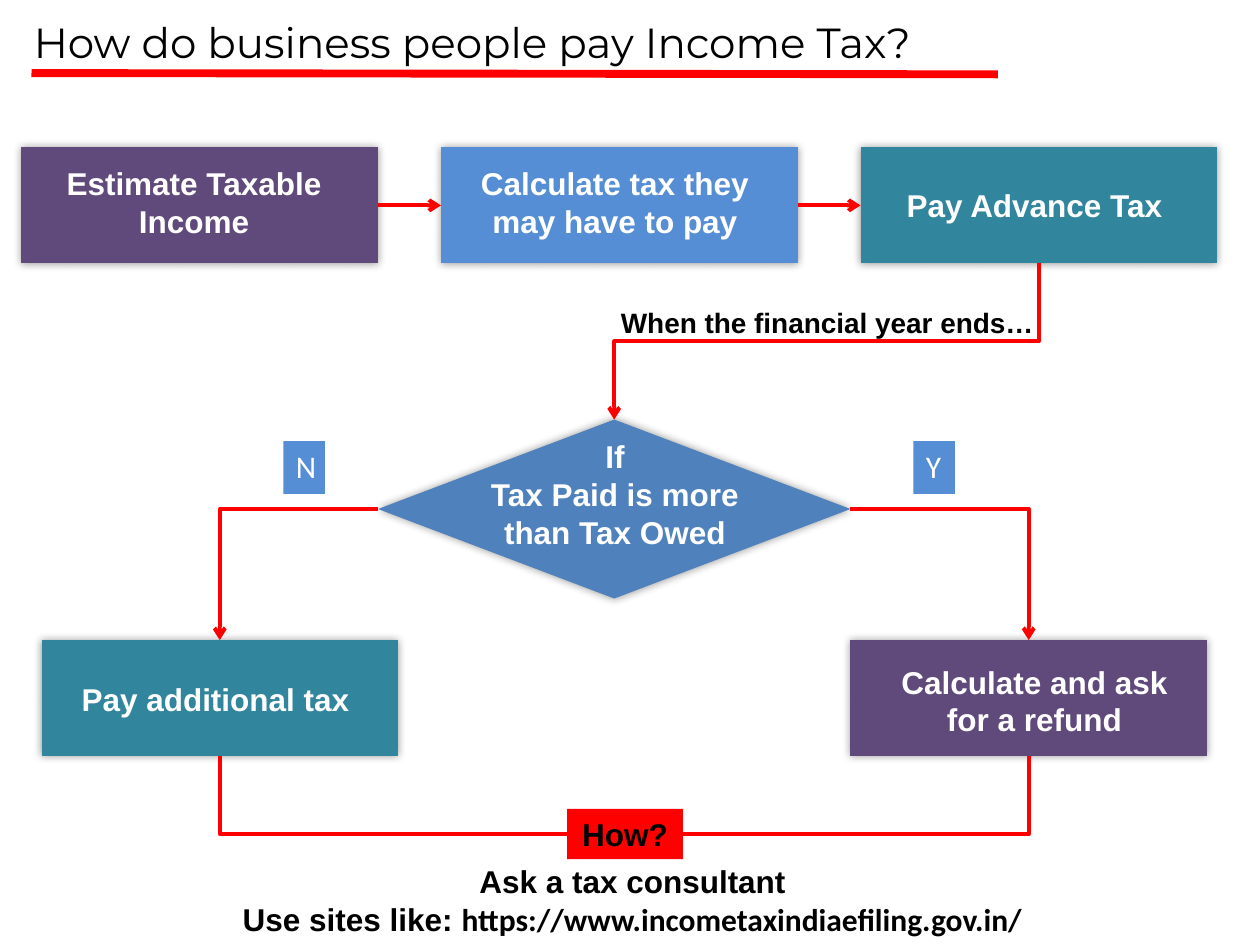
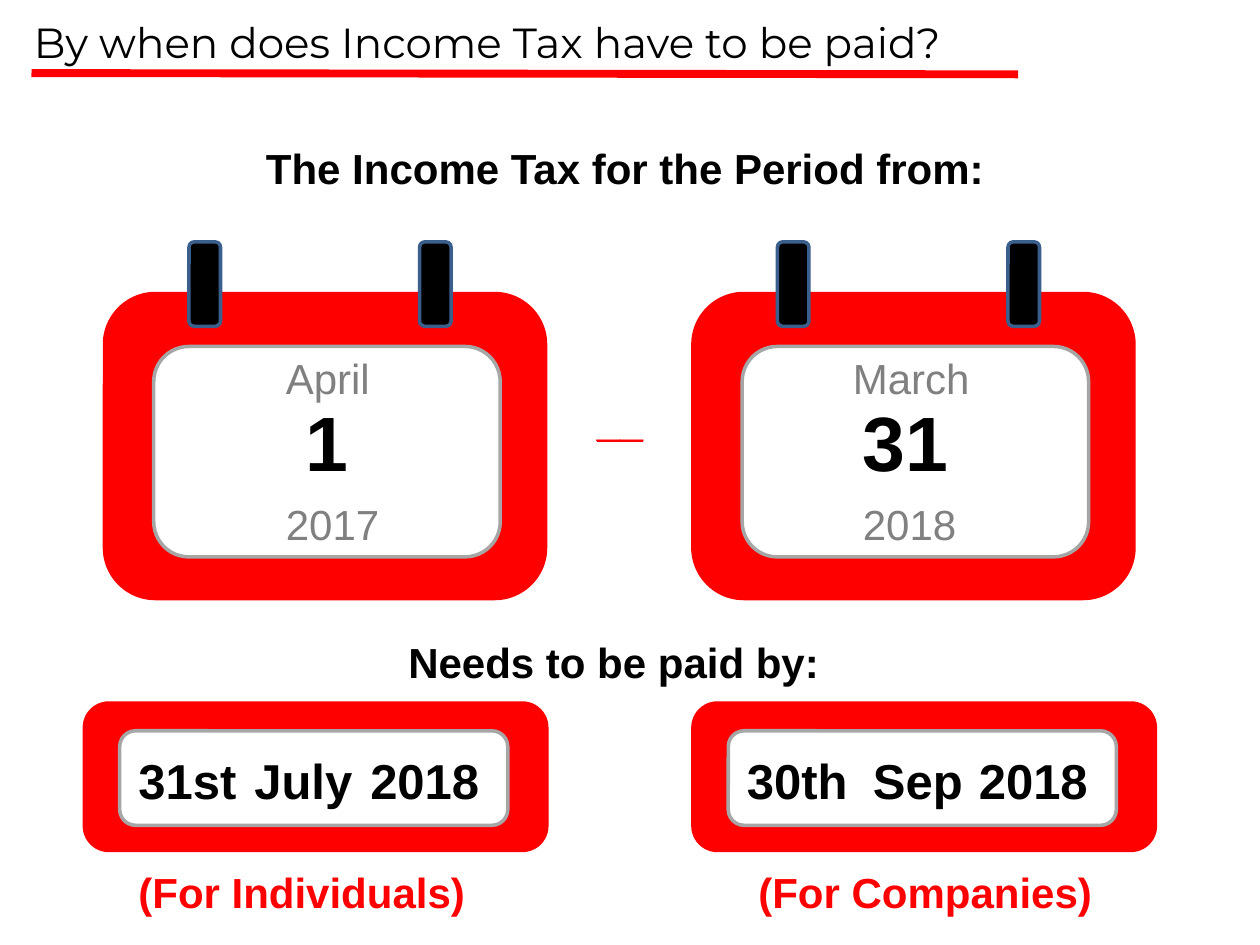
from lxml.etree import SubElement
from pptx import Presentation
from pptx.dml.color import RGBColor
from pptx.enum.shapes import MSO_CONNECTOR, MSO_SHAPE
from pptx.enum.text import MSO_ANCHOR, PP_ALIGN
from pptx.oxml.ns import qn
from pptx.util import Inches, Pt

RED, BLACK, WHITE = "FF0000", "000000", "FFFFFF"
PURPLE, BLUE, TEAL, STEEL = "604A7B", "558ED5", "31859C", "4F81BD"
GREY, PAGE_EDGE, RING_EDGE = "808080", "A6A6A6", "3A5F8C"
TOP, LEFT, BOTTOM, RIGHT = range(4)
STEP_WIDTH, STEP_HEIGHT = 2.83, 0.92


def color(hex_code):
    return RGBColor.from_string(hex_code)


def write(frame, paragraphs, size, hex_code, bold=True, align=PP_ALIGN.LEFT,
          font="Arial", underline=None):
    frame.word_wrap = True
    frame.vertical_anchor = MSO_ANCHOR.TOP
    for index, runs in enumerate(paragraphs):
        paragraph = frame.add_paragraph() if index else frame.paragraphs[0]
        paragraph.alignment = align
        for text, run_font in runs:
            run = paragraph.add_run()
            run.text = text
            run.font.name = run_font or font
            run.font.size = Pt(size)
            run.font.bold = bold
            run.font.underline = underline
            run.font.color.rgb = color(hex_code)


def add_text(slide, box, text, size, hex_code=BLACK, **style):
    label = slide.shapes.add_textbox(*map(Inches, box))
    paragraphs = [[(line, None)] for line in text.split("\n")]
    write(label.text_frame, paragraphs, size, hex_code, **style)


def add_centred(slide, box, text, size, hex_code=BLACK, **style):
    add_text(slide, box, text, size, hex_code, align=PP_ALIGN.CENTER, **style)


def add_block(slide, kind, box, fill, edge=None):
    block = slide.shapes.add_shape(kind, *map(Inches, box))
    block.shadow.inherit = False
    block.fill.solid()
    block.fill.fore_color.rgb = color(fill)
    if edge:
        block.line.color.rgb = color(edge)
        block.line.width = Pt(2)
    else:
        block.line.fill.background()
    return block


def add_glow(block):
    effects = block._element.spPr.find(qn("a:effectLst"))
    glow = SubElement(effects, qn("a:outerShdw"), blurRad=str(Pt(5)),
                      dist="0", dir="0", rotWithShape="0")
    tint = SubElement(glow, qn("a:srgbClr"), val=BLACK)
    SubElement(tint, qn("a:alpha"), val="40000")


def add_node(slide, kind, box, fill, label_box, text):
    node = add_block(slide, kind, box, fill)
    add_glow(node)
    add_centred(slide, label_box, text, 18, WHITE)
    return node


def add_step(slide, left, top, fill, label_box, text):
    return add_node(slide, MSO_SHAPE.FLOWCHART_PROCESS,
                    (left, top, STEP_WIDTH, STEP_HEIGHT), fill, label_box, text)


def add_tag(slide, box, fill, text, hex_code, **style):
    tag = add_block(slide, MSO_SHAPE.RECTANGLE, box, fill)
    write(tag.text_frame, [[(text, None)]], 18, hex_code, **style)
    return tag


def style_line(line, width, arrow=False):
    line.line.color.rgb = color(RED)
    line.line.width = Pt(width)
    if arrow:
        SubElement(line.line._get_or_add_ln(), qn("a:tailEnd"), type="arrow")
    SubElement(line._element.spPr, qn("a:effectLst"))


def join(slide, start, start_side, end, end_side, kind=MSO_CONNECTOR.STRAIGHT,
         arrow=True):
    link = slide.shapes.add_connector(kind, 0, 0, 0, 0)
    link.begin_connect(start, start_side)
    link.end_connect(end, end_side)
    style_line(link, 2.25, arrow)
    return link


def join_corner(slide, start, start_side, end, end_side, arrow=True):
    link = join(slide, start, start_side, end, end_side,
                MSO_CONNECTOR.ELBOW, arrow)
    link._element.spPr.find(qn("a:prstGeom")).set("prst", "bentConnector2")


def join_downward(slide, start, end):
    link = join(slide, start, BOTTOM, end, TOP, MSO_CONNECTOR.ELBOW)
    across, down = link.width, link.height
    link.left += (across - down) // 2
    link.top += (down - across) // 2
    link.width, link.height = down, across
    frame = link._element.spPr.find(qn("a:xfrm"))
    frame.attrib.pop("flipH", None)
    frame.set("rot", "5400000")


def add_titled_slide(deck, title, rule_end):
    slide = deck.slides.add_slide(deck.slide_layouts[6])
    add_text(slide, (0.17, 0.08, 8.83, 0.5), title, 24, bold=False,
             font="Montserrat")
    rule = slide.shapes.add_connector(
        MSO_CONNECTOR.STRAIGHT,
        *map(Inches, (0.25, 0.58, rule_end, 0.59)))
    style_line(rule, 4.5)
    return slide


def build_payment_flow(deck):
    slide = add_titled_slide(deck, "How do business people pay Income Tax?", 7.92)
    estimate = add_step(slide, 0.17, 1.17, PURPLE, (0.33, 1.25, 2.42, 0.71),
                        "Estimate Taxable Income")
    calculate = add_step(slide, 3.5, 1.17, BLUE, (3.67, 1.25, 2.42, 0.71),
                         "Calculate tax they may have to pay")
    advance = add_step(slide, 6.83, 1.17, TEAL, (7, 1.43, 2.42, 0.4),
                       "Pay Advance Tax")
    decision = add_node(slide, MSO_SHAPE.FLOWCHART_DECISION,
                        (3, 3.33, 3.75, 1.42), STEEL, (3.67, 3.42, 2.42, 1.01),
                        "If\nTax Paid is more than Tax Owed")
    refund = add_step(slide, 6.75, 5.08, PURPLE, (7, 5.21, 2.42, 0.71),
                      "Calculate and ask for a refund")
    additional = add_step(slide, 0.33, 5.08, TEAL, (0.5, 5.35, 2.42, 0.4),
                          "Pay additional tax")

    join_corner(slide, decision, RIGHT, refund, TOP)
    join_corner(slide, decision, LEFT, additional, TOP)
    join(slide, estimate, RIGHT, calculate, LEFT)
    join(slide, calculate, RIGHT, advance, LEFT)
    join_downward(slide, advance, decision)

    advice = slide.shapes.add_textbox(*map(Inches, (1.48, 6.79, 7.08, 0.71)))
    write(advice.text_frame,
          [[("Ask a tax consultant", None)],
           [("Use sites like: ", None),
            ("https://www.incometaxindiaefiling.gov.in/", "Calibri")]],
          18, BLACK, align=PP_ALIGN.CENTER)
    how = add_tag(slide, (4.5, 6.42, 0.92, 0.4), RED, "How?", BLACK,
                  align=PP_ALIGN.CENTER)
    join_corner(slide, how, LEFT, additional, BOTTOM, arrow=False)
    join_corner(slide, how, RIGHT, refund, BOTTOM, arrow=False)

    for left, answer in ((7.25, "Y"), (2.25, "N")):
        add_tag(slide, (left, 3.5, 0.33, 0.42), BLUE, answer, WHITE,
                bold=False, font="Calibri")
    add_text(slide, (4.83, 2.38, 3.5, 0.37), "When the financial year ends…", 16)


def add_rounded(slide, box, fill, edge):
    add_block(slide, MSO_SHAPE.ROUNDED_RECTANGLE, box, fill, edge)


def add_calendar(slide, left, month, month_left, day, day_left, year, year_left):
    add_rounded(slide, (left, 2.33, 3.5, 2.42), RED, RED)
    for ring_offset in (0.67, 2.5):
        add_rounded(slide, (left + ring_offset, 1.92, 0.25, 0.67),
                    BLACK, RING_EDGE)
    add_rounded(slide, (left + 0.39, 2.75, 2.75, 1.67), WHITE, PAGE_EDGE)
    add_text(slide, (month_left, 2.75, 1.25, 0.5), month, 24, GREY, bold=False)
    add_text(slide, (day_left, 3.08, 1, 0.84), day, 44)
    add_text(slide, (year_left, 3.91, 1.08, 0.5), year, 24, GREY, bold=False)


def add_deadline(slide, left, day, month, month_left, payer, payer_left):
    add_rounded(slide, (left, 5.58, 3.67, 1.17), RED, RED)
    add_rounded(slide, (left + 0.28, 5.8, 3.08, 0.75), WHITE, PAGE_EDGE)
    for part_left, part in ((left + 0.33, day), (month_left, month),
                            (left + 2.17, "2018")):
        add_text(slide, (part_left, 5.91, 1.25, 0.57), part, 28)
    add_text(slide, (payer_left, 6.83, 3.25, 0.5), payer, 24, RED)


def build_due_dates(deck):
    slide = add_titled_slide(deck, "By when does Income Tax have to be paid?", 8.08)
    add_calendar(slide, 5.5, "March", 6.67, "31", 6.75, "2018", 6.75)
    add_calendar(slide, 0.83, "April", 2.17, "1", 2.33, "2017", 2.17)
    add_centred(slide, (0.92, 1.08, 8.08, 0.5),
                "The Income Tax for the Period from:", 24)
    add_centred(slide, (4.42, 3.08, 1, 0.5), "__", 24, RED, underline=True)
    add_centred(slide, (0.83, 5, 8.08, 0.5), "Needs to be paid by:", 24)
    add_deadline(slide, 0.67, "31st", "July", 1.92, "(For Individuals)", 1)
    add_deadline(slide, 5.5, "30th", "Sep", 6.83, "(For Companies)", 5.92)


def main():
    deck = Presentation()
    deck.slide_width, deck.slide_height = Inches(10), Inches(7.5)
    build_payment_flow(deck)
    build_due_dates(deck)
    deck.save("out.pptx")


if __name__ == "__main__":
    main()
